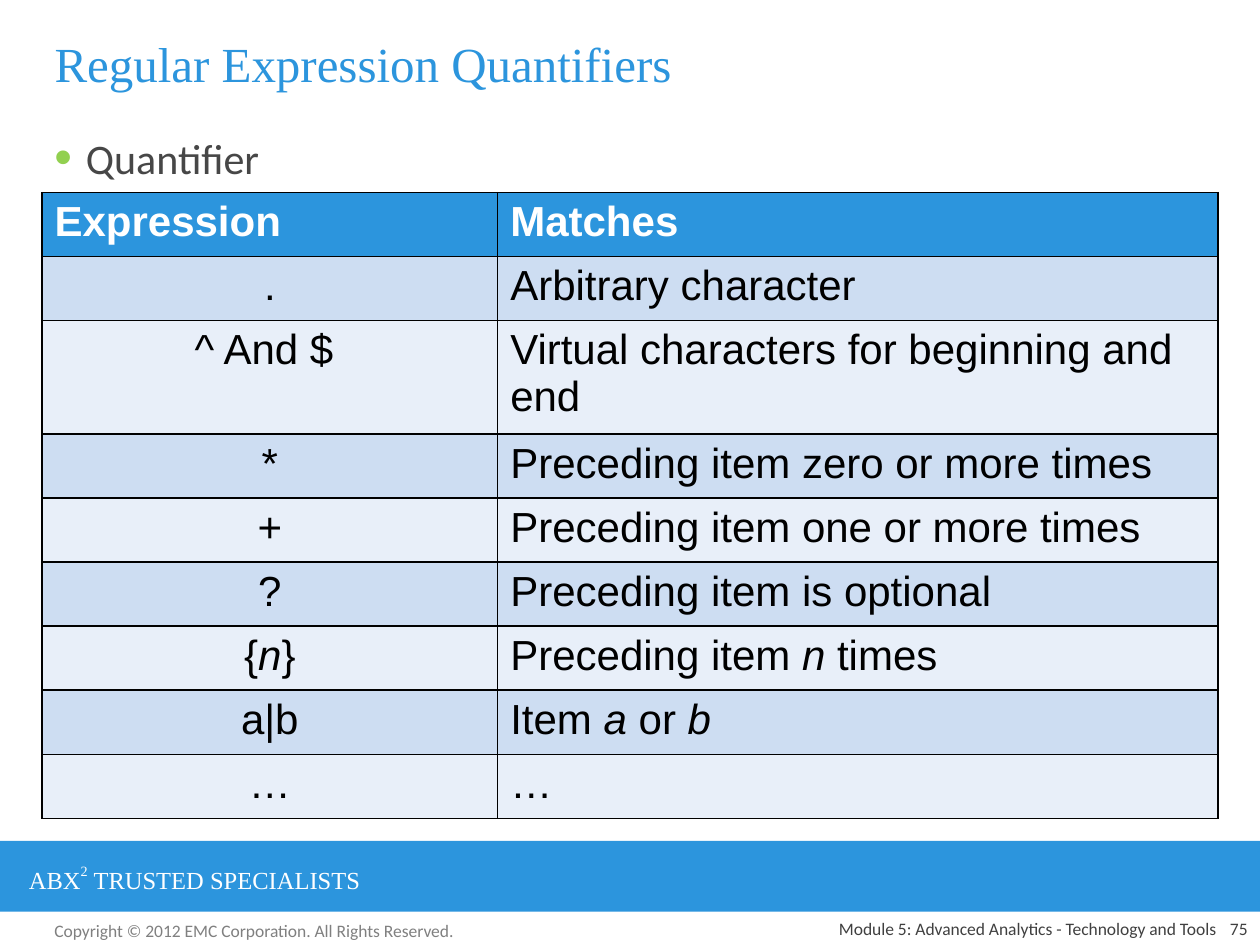
from dataclasses import dataclass

from lxml import etree
from pptx import Presentation
from pptx.dml.color import RGBColor
from pptx.enum.shapes import MSO_SHAPE
from pptx.enum.text import MSO_ANCHOR, PP_ALIGN
from pptx.oxml.ns import qn
from pptx.util import Pt

LEFT, CENTER, RIGHT = PP_ALIGN.LEFT, PP_ALIGN.CENTER, PP_ALIGN.RIGHT
TOP, MIDDLE, BOTTOM = MSO_ANCHOR.TOP, MSO_ANCHOR.MIDDLE, MSO_ANCHOR.BOTTOM
RECTANGLE = MSO_SHAPE.RECTANGLE
TITLE_ONLY = 5


@dataclass(frozen=True)
class Theme:
    blue: str = "2C95DD"
    green: str = "92D050"
    white: str = "FFFFFF"
    black: str = "000000"
    body: str = "474747"
    footer: str = "404040"
    copyright: str = "808080"
    bands: tuple = ("CDDDF2", "E8EFF9")
    serif: str = "Times New Roman"
    sans: str = "Calibri"
    table_font: str = "Arial"
    title_size: int = 28
    body_size: int = 24
    banner_size: int = 14
    footer_size: int = 10


@dataclass(frozen=True)
class Run:
    text: str
    italic: bool = False
    baseline: int = 0


@dataclass(frozen=True)
class Label:
    box: tuple
    runs: tuple
    size: int
    font: str
    color: str
    align: PP_ALIGN = LEFT
    anchor: MSO_ANCHOR = TOP


THEME = Theme()
BANNER_BOX = (0, 480.5, 720, 40.5)
TITLE_BOX = (24, 6, 666, 60)
TABLE_BOX = (24, 110, 672, 329.4)
COLUMN_WIDTHS = (260.4, 411.6)
ROW_HEIGHT = 36.6

LABELS = (
    Label((24, 522, 246, 19.4),
          (Run("Copyright © 2012 EMC Corporation. All Rights Reserved."),),
          THEME.footer_size, THEME.sans, THEME.copyright),
    Label((9.4, 489, 266, 24.2),
          (Run("ABX"), Run("2", baseline=56000), Run(" TRUSTED SPECIALISTS")),
          THEME.banner_size, THEME.serif, THEME.white),
    Label((684, 522, 36, 18), (Run("75"),),
          THEME.footer_size, THEME.sans, THEME.footer, RIGHT, BOTTOM),
    Label((372, 522, 330, 18),
          (Run("Module 5: Advanced Analytics - Technology and Tools"),),
          THEME.footer_size, THEME.sans, THEME.footer, RIGHT, BOTTOM),
)
QUANTIFIER = Label((24, 72, 666, 60), (Run("Quantifier"),),
                   THEME.body_size, THEME.sans, THEME.body)

# Underscores enclose the italic parts
ROWS = (
    ("Expression", "Matches"),
    (".", "Arbitrary character"),
    ("^ And $ ", "Virtual characters for beginning and end"),
    ("*", "Preceding item zero or more times"),
    ("+", "Preceding item one or more times"),
    ("?", "Preceding item is optional"),
    ("{_n_}", "Preceding item _n_ times"),
    ("a|b", "Item _a_ or _b_"),
    ("…", "…"),
)


def points(box: tuple) -> tuple:
    return tuple(Pt(length) for length in box)


def parse_italics(text: str) -> tuple:
    return tuple(Run(part, italic=index % 2 == 1)
                 for index, part in enumerate(text.split("_")) if part)


def write_text(frame, runs: tuple, *, size: int, font: str, color: str,
               align=LEFT, bold: bool = False):
    paragraph = frame.paragraphs[0]
    paragraph.alignment = align
    for item in runs:
        run = paragraph.add_run()
        run.text = item.text
        run.font.size = Pt(size)
        run.font.name = font
        run.font.bold = bold
        run.font.italic = item.italic
        run.font.color.rgb = RGBColor.from_string(color)
        if item.baseline:
            run._r.get_or_add_rPr().set("baseline", str(item.baseline))
    return paragraph


def add_label(slide, label: Label):
    frame = slide.shapes.add_textbox(*points(label.box)).text_frame
    frame.word_wrap = True
    frame.vertical_anchor = label.anchor
    return write_text(frame, label.runs, size=label.size, font=label.font,
                      color=label.color, align=label.align)


def add_bullet(paragraph, color: str) -> None:
    properties = paragraph._p.get_or_add_pPr()
    properties.set("marL", str(Pt(18)))
    properties.set("indent", str(-Pt(18)))
    bullet_color = etree.SubElement(properties, qn("a:buClr"))
    etree.SubElement(bullet_color, qn("a:srgbClr"), val=color)
    etree.SubElement(properties, qn("a:buSzPct"), val="120000")
    etree.SubElement(properties, qn("a:buFont"), typeface="Arial")
    etree.SubElement(properties, qn("a:buChar"), char="•")


def add_borders(cell, color: str) -> None:
    properties = cell._tc.get_or_add_tcPr()
    for index, side in enumerate(("a:lnL", "a:lnR", "a:lnT", "a:lnB")):
        line = etree.Element(qn(side), w=str(Pt(1)))
        fill = etree.SubElement(line, qn("a:solidFill"))
        etree.SubElement(fill, qn("a:srgbClr"), val=color)
        properties.insert(index, line)


def add_quantifier_table(slide) -> None:
    table = slide.shapes.add_table(
        len(ROWS), len(COLUMN_WIDTHS), *points(TABLE_BOX)).table
    for column, width in zip(table.columns, COLUMN_WIDTHS):
        column.width = Pt(width)
    for row_index, texts in enumerate(ROWS):
        table.rows[row_index].height = Pt(ROW_HEIGHT)
        header = row_index == 0
        fill = THEME.blue if header else THEME.bands[(row_index - 1) % 2]
        for column_index, text in enumerate(texts):
            cell = table.cell(row_index, column_index)
            cell.fill.solid()
            cell.fill.fore_color.rgb = RGBColor.from_string(fill)
            add_borders(cell, THEME.black)
            write_text(cell.text_frame, parse_italics(text),
                       size=THEME.body_size, font=THEME.table_font,
                       color=THEME.white if header else THEME.black,
                       align=LEFT if header or column_index else CENTER,
                       bold=header)


def main() -> None:
    presentation = Presentation()
    presentation.slide_width, presentation.slide_height = Pt(720), Pt(540)
    slide = presentation.slides.add_slide(
        presentation.slide_layouts[TITLE_ONLY])

    # Banner
    banner = slide.shapes.add_shape(RECTANGLE, *points(BANNER_BOX))
    banner.shadow.inherit = False
    banner.fill.solid()
    banner.fill.fore_color.rgb = RGBColor.from_string(THEME.blue)
    banner.line.fill.background()

    # Title
    title = slide.shapes.title
    title.left, title.top, title.width, title.height = points(TITLE_BOX)
    title.text_frame.vertical_anchor = MIDDLE
    write_text(title.text_frame, (Run("Regular Expression Quantifiers"),),
               size=THEME.title_size, font=THEME.serif, color=THEME.blue)

    # Bullet and table
    add_bullet(add_label(slide, QUANTIFIER), THEME.green)
    add_quantifier_table(slide)

    # Banner name and footer
    for label in LABELS:
        add_label(slide, label)

    presentation.save("out.pptx")


if __name__ == "__main__":
    main()
